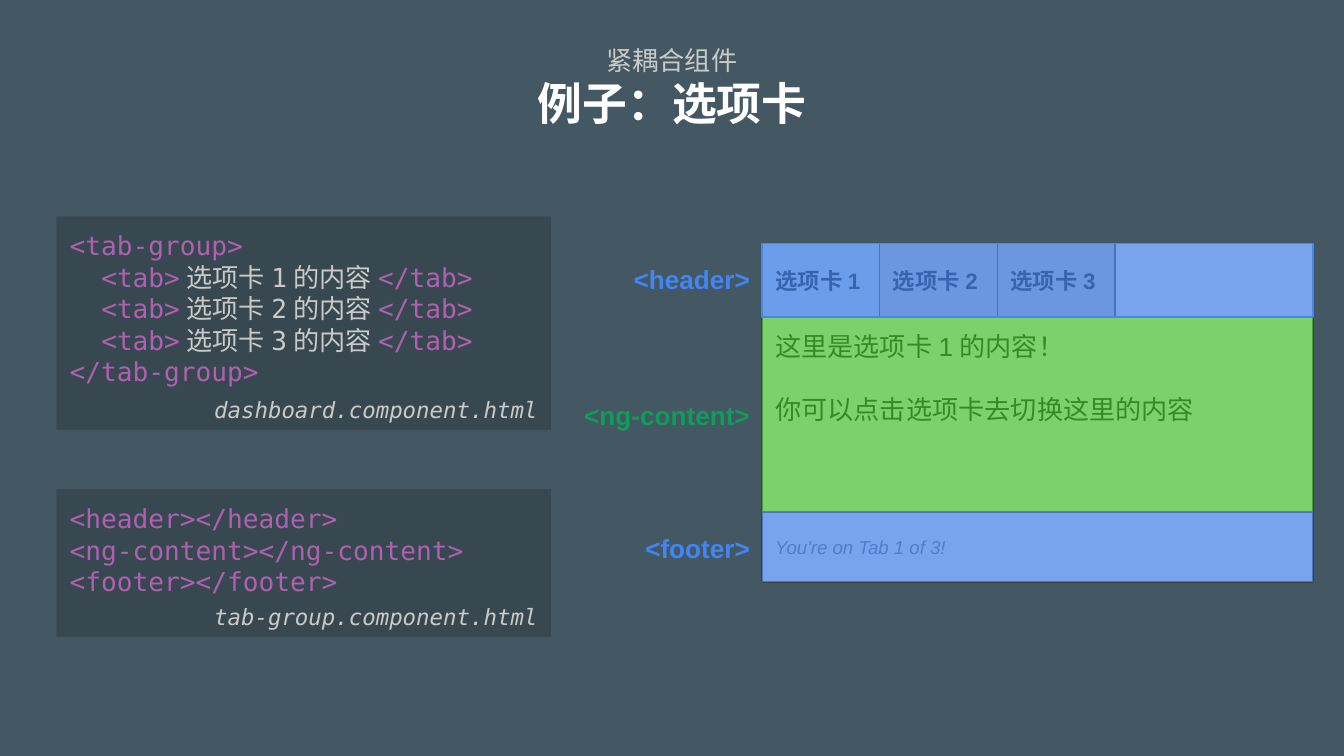
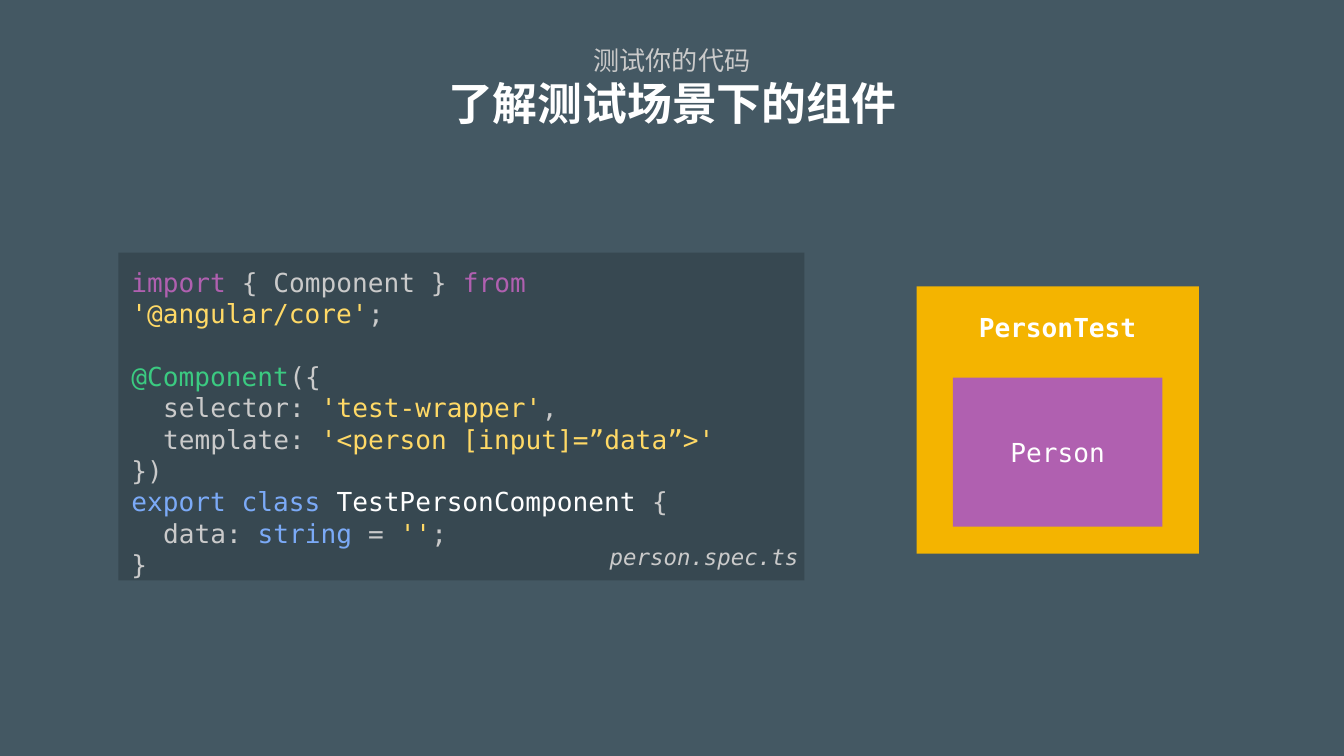
from collections import namedtuple
from dataclasses import dataclass

from lxml.etree import SubElement
from pptx import Presentation
from pptx.dml.color import RGBColor
from pptx.enum.shapes import MSO_SHAPE
from pptx.enum.text import MSO_ANCHOR, PP_ALIGN
from pptx.oxml.ns import qn
from pptx.util import Emu, Pt

PX = 4572  # EMU in one px, 200 px to the inch
MARGIN = 20
CODE_INDENT = 47
LINE_HEIGHT = 1.2


@dataclass(frozen=True)
class Theme:
    background: str = "445863"
    code_panel: str = "374851"
    grey: str = "CACACA"
    white: str = "FFFFFF"
    black: str = "000000"
    purple: str = "B060B0"
    yellow: str = "FFD966"
    mint: str = "3BCA81"
    sky: str = "7BAAF7"
    label_blue: str = "4285F4"
    label_green: str = "0F9D58"
    overlay_blue: str = "4A86E8"
    overlay_green: str = "4AC035"
    outline: str = "424242"
    active_tab: str = "CFE2F3"
    idle_tab: str = "CCCCCC"
    footer_text: str = "666666"
    amber: str = "F4B400"
    mono: str = "DejaVu Sans Mono"
    sans: str = "Arial"
    heading: str = "Roboto"
    title_size: int = 24
    body_size: int = 14
    small_size: int = 12
    note_size: int = 10


theme = Theme()
Line = namedtuple("Line", "runs indent space_after", defaults=(0, 0))

code = {"name": theme.mono, "size": theme.body_size}
file_name = {"name": theme.mono, "size": theme.small_size, "italic": True}
body = {"name": theme.sans, "size": theme.body_size}
label_style = {**body, "bold": True}
tab_style = {"name": theme.sans, "size": theme.small_size, "bold": True}
note_style = {"name": theme.sans, "size": theme.note_size, "italic": True}
subtitle_style = {"name": theme.heading, "size": theme.body_size}
title_style = {"name": theme.heading, "size": theme.title_size, "bold": True}


def add_box(slide, box, fill=None, outline=None, opacity=None):
    """Add a rectangle, or a plain text box when there is no fill."""
    position = [Emu(length * PX) for length in box]
    if fill is None:
        return slide.shapes.add_textbox(*position)
    shape = slide.shapes.add_shape(MSO_SHAPE.RECTANGLE, *position)
    shape.shadow.inherit = False
    shape.fill.solid()
    shape.fill.fore_color.rgb = RGBColor.from_string(fill)
    if opacity:
        colour = shape.fill._xPr.find(f".//{qn('a:srgbClr')}")
        SubElement(colour, qn("a:alpha"), val=str(opacity * 1000))
    if outline:
        shape.line.color.rgb = RGBColor.from_string(outline)
        shape.line.width = Pt(0.75)
    else:
        shape.line.fill.background()
    return shape


def write(shape, lines, align=PP_ALIGN.LEFT, anchor=MSO_ANCHOR.TOP, margin_top=MARGIN):
    """Fill a shape with lines whose runs are (text, colour, font format)."""
    frame = shape.text_frame
    frame.word_wrap = True
    frame.vertical_anchor = anchor
    for side in ("left", "right", "bottom"):
        setattr(frame, f"margin_{side}", Emu(MARGIN * PX))
    frame.margin_top = Emu(margin_top * PX)
    for index, line in enumerate(lines):
        paragraph = frame.add_paragraph() if index else frame.paragraphs[0]
        paragraph.alignment = align
        paragraph.line_spacing = Pt(LINE_HEIGHT * line.runs[0][2]["size"])
        paragraph.space_after = Pt(line.space_after)
        if line.indent:
            paragraph._p.get_or_add_pPr().set("marL", str(line.indent * CODE_INDENT * PX))
        for text, colour, font_format in line.runs:
            run = paragraph.add_run()
            run.text = text
            run.font.color.rgb = RGBColor.from_string(colour)
            for attribute, value in font_format.items():
                setattr(run.font, attribute, Pt(value) if attribute == "size" else value)


presentation = Presentation()
presentation.slide_width = Emu(2000 * PX)
presentation.slide_height = Emu(1125 * PX)

slides = []
for subtitle, title in (("紧耦合组件", "例子：选项卡"), ("测试你的代码", "了解测试场景下的组件")):
    slide = presentation.slides.add_slide(presentation.slide_layouts[6])
    slide.background.fill.solid()
    slide.background.fill.fore_color.rgb = RGBColor.from_string(theme.background)
    write(
        add_box(slide, (68, 66, 1864, 126)),
        [Line([(subtitle, theme.grey, subtitle_style)]), Line([(title, theme.white, title_style)])],
        PP_ALIGN.CENTER,
        MSO_ANCHOR.MIDDLE,
    )
    slides.append(slide)
tabs_slide, test_slide = slides

# Code panels with their file names
tab_lines = [
    Line([("<tab>", theme.purple, code), (f"选项卡{number}的内容", theme.grey, code),
          ("</tab>", theme.purple, code)], indent=1)
    for number in (1, 2, 3)
]
dashboard_code = [
    Line([("<tab-group>", theme.purple, code)]),
    *tab_lines,
    Line([("</tab-group>", theme.purple, code)]),
]
tab_group_code = [
    Line([(f"<{tag}></{tag}>", theme.purple, code)]) for tag in ("header", "ng-content", "footer")
]
person_code = [
    Line([("import", theme.purple, code), (" { Component } ", theme.grey, code),
          ("from ", theme.purple, code), ("'@angular/core'", theme.yellow, code),
          (";", theme.grey, code)], space_after=LINE_HEIGHT * theme.body_size),
    Line([("@Component", theme.mint, code), ("({", theme.grey, code)]),
    Line([("selector: ", theme.grey, code), ("'test-wrapper'", theme.yellow, code),
          (",", theme.grey, code)], indent=1),
    Line([("template: ", theme.grey, code),
          ("'<person [input]=”data”>'", theme.yellow, code)], indent=1),
    Line([("})", theme.grey, code)]),
    Line([("export class", theme.sky, code), (" TestPersonComponent ", theme.white, code),
          ("{", theme.grey, code)]),
    Line([("data: ", theme.grey, code), ("string", theme.sky, code), (" = ", theme.grey, code),
          ("''", theme.yellow, code), (";", theme.grey, code)], indent=1),
    Line([("}", theme.grey, code)]),
]
for slide, panel, lines, name_box, name in (
    (tabs_slide, (84, 322, 736, 318), dashboard_code, (84, 570, 736, 88), "dashboard.component.html"),
    (tabs_slide, (84, 728, 736, 220), tab_group_code, (84, 878, 736, 88), "tab-group.component.html"),
    (test_slide, (176, 376, 1021, 488), person_code, (816, 788, 392, 88), "person.spec.ts"),
):
    write(add_box(slide, panel, theme.code_panel), lines)
    write(add_box(slide, name_box), [Line([(name, theme.grey, file_name)])], PP_ALIGN.RIGHT)

# Tab widget: header, content and footer, each under a translucent overlay
left, width, tab_width = 1134, 820, 175
header = (left, 362, width, 110)
content = (left, 472, width, 290)
footer = (left, 762, width, 104)

add_box(tabs_slide, (left, 362, width, 290), theme.white)
write(
    add_box(tabs_slide, content, theme.white, theme.outline),
    [
        Line([("这里是选项卡1的内容！", theme.black, body)], space_after=LINE_HEIGHT * theme.body_size),
        Line([("你可以点击选项卡去切换这里的内容", theme.black, body)]),
    ],
)
for index, fill in enumerate((theme.active_tab, theme.idle_tab, theme.idle_tab)):
    tab = add_box(tabs_slide, (left + index * tab_width, 362, tab_width, 110), fill, theme.outline)
    write(tab, [Line([(f"选项卡{index + 1}", theme.black, tab_style)])], anchor=MSO_ANCHOR.MIDDLE)
write(
    add_box(tabs_slide, footer, theme.white, theme.outline),
    [Line([("You're on Tab 1 of 3!", theme.footer_text, note_style)])],
    anchor=MSO_ANCHOR.MIDDLE,
)

for tag, region, overlay, outline, opacity, label_top, label_colour in (
    ("<ng-content>", content, theme.overlay_green, None, 72, 574, theme.label_green),
    ("<footer>", footer, theme.overlay_blue, None, 75, 772, theme.label_blue),
    ("<header>", header, theme.overlay_blue, theme.overlay_blue, 75, 372, theme.label_blue),
):
    add_box(tabs_slide, region, overlay, outline, opacity)
    label = add_box(tabs_slide, (836, label_top, 300, 86))
    write(label, [Line([(tag, label_colour, label_style)])], PP_ALIGN.RIGHT)

# Test component wrapping the person component
write(
    add_box(test_slide, (1364, 426, 420, 398), theme.amber),
    [Line([("PersonTest", theme.white, {**code, "bold": True})])],
    PP_ALIGN.CENTER,
    margin_top=38,
)
write(
    add_box(test_slide, (1418, 562, 312, 222), theme.purple),
    [Line([("Person", theme.white, code)])],
    PP_ALIGN.CENTER,
    MSO_ANCHOR.MIDDLE,
)

presentation.save("out.pptx")
